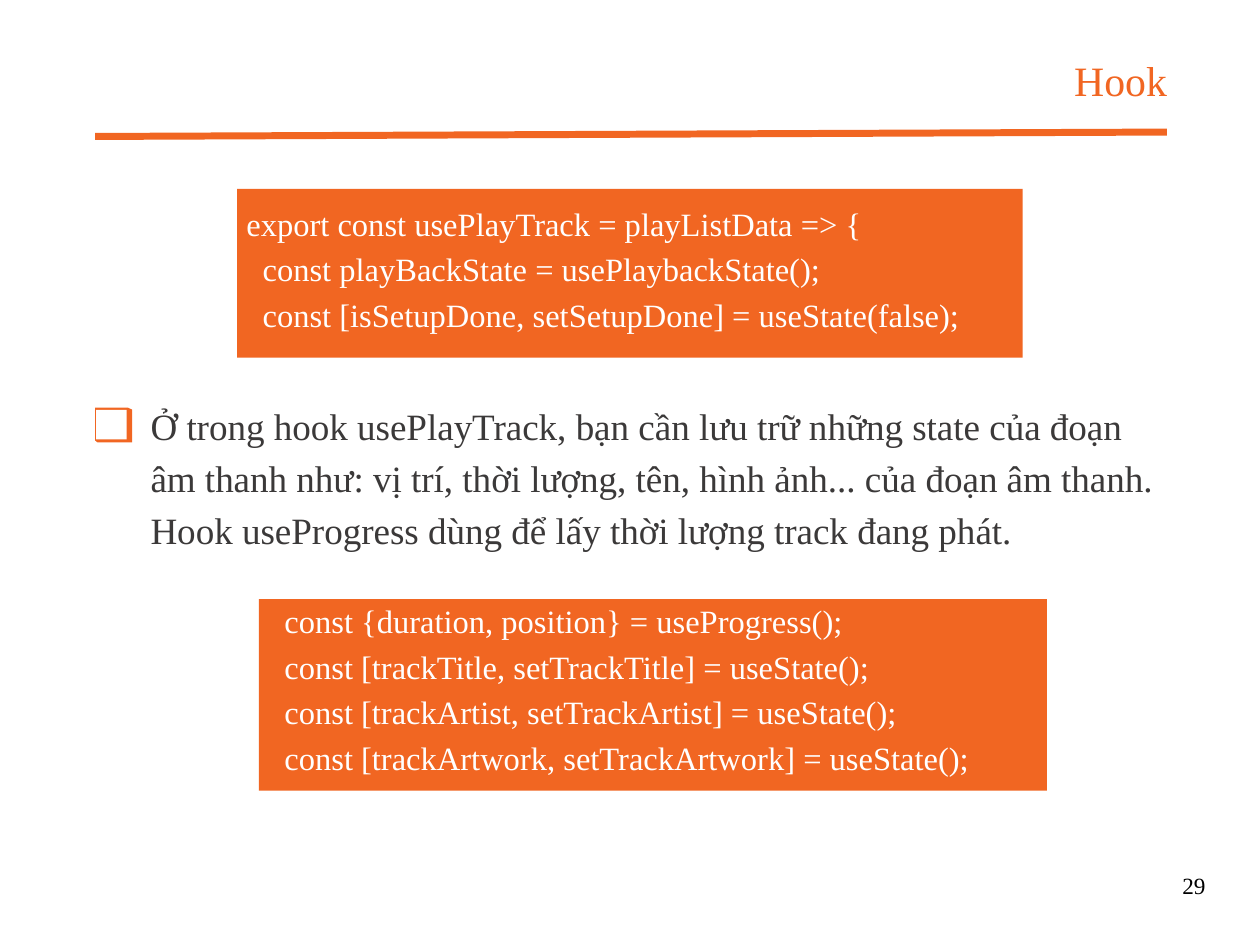
from pptx import Presentation
from pptx.dml.color import RGBColor
from pptx.enum.shapes import MSO_CONNECTOR, MSO_SHAPE
from pptx.enum.text import MSO_ANCHOR, PP_ALIGN
from pptx.oxml.ns import qn
from pptx.util import Pt
from lxml.etree import SubElement

COLORS = {"accent": "F16622", "body": "3B3939", "light": "FFFFFF", "page": "000000"}
FONT = "Times New Roman"

prs = Presentation()
prs.slide_width, prs.slide_height = Pt(543), Pt(408)
slide = prs.slides.add_slide(prs.slide_layouts[6])
shapes = slide.shapes


def paint(shape, color):
    """Give a shape a flat fill with no outline or shadow."""
    shape.shadow.inherit = False
    shape.fill.solid()
    shape.fill.fore_color.rgb = RGBColor.from_string(COLORS[color])
    shape.line.fill.background()


def add_text(box, lines, size, color, spacing, align=PP_ALIGN.LEFT,
             inset=0, anchor=MSO_ANCHOR.TOP):
    frame = shapes.add_textbox(*map(Pt, box)).text_frame
    frame_format = {"word_wrap": True, "vertical_anchor": anchor}
    for side in ("left", "top", "right", "bottom"):
        frame_format[f"margin_{side}"] = Pt(inset)
    for name, value in frame_format.items():
        setattr(frame, name, value)
    for index, line in enumerate(lines):
        paragraph = frame.add_paragraph() if index else frame.paragraphs[0]
        paragraph.alignment = align
        paragraph.line_spacing = Pt(spacing)
        run = paragraph.add_run()
        run.text = line
        for name, value in {"name": FONT, "size": Pt(size)}.items():
            setattr(run.font, name, value)
        run.font.color.rgb = RGBColor.from_string(COLORS[color])


# Heading and its rule
title_rule = shapes.add_connector(
    MSO_CONNECTOR.STRAIGHT, Pt(41), Pt(58.8), Pt(502.9), Pt(56.9))
title_rule.line.width = Pt(3)
title_rule.line.color.rgb = RGBColor.from_string(COLORS["accent"])
SubElement(title_rule._element.spPr, qn("a:effectLst"))
add_text((152, 19.9, 350.9, 27.4), ["Hook"], 18, "accent", 25.2, PP_ALIGN.RIGHT)

# Checkbox marker: raised edge with a white face
edge = [(41, 175.7), (55.2, 175.7), (56.9, 176.5), (56.9, 190.6), (42, 190.6), (41, 189.8)]
edge_points = [(Pt(x), Pt(y)) for x, y in edge]
builder = shapes.build_freeform(*edge_points[0], scale=1.0)
builder.add_line_segments(edge_points[1:], close=True)
paint(builder.convert_to_shape(), "accent")
paint(shapes.add_shape(MSO_SHAPE.RECTANGLE, Pt(41.4), Pt(176.6), Pt(13.2), Pt(12.7)), "light")

explanation = (
    "Ở trong hook usePlayTrack, bạn cần lưu trữ những state của đoạn âm thanh như: "
    "vị trí, thời lượng, tên, hình ảnh... của đoạn âm thanh. "
    "Hook useProgress dùng để lấy thời lượng track đang phát."
)
add_text((64.9, 170.6, 433.6, 87.8), [explanation], 16, "body", 22.4)

# Code panels: left, top, width, height, rise of the text above the panel, code
code_panels = [
    (102.2, 81.4, 338.6, 72.7, 6.5, [
        "export const usePlayTrack = playListData => {",
        "  const playBackState = usePlaybackState();",
        "  const [isSetupDone, setSetupDone] = useState(false);",
    ]),
    (111.6, 258.1, 339.6, 82.6, 7.8, [
        "  const {duration, position} = useProgress();",
        "  const [trackTitle, setTrackTitle] = useState();",
        "  const [trackArtist, setTrackArtist] = useState();",
        "  const [trackArtwork, setTrackArtwork] = useState();",
    ]),
]
for left, top, width, height, rise, code in code_panels:
    panel = shapes.add_shape(MSO_SHAPE.RECTANGLE, Pt(left), Pt(top), Pt(width), Pt(height))
    paint(panel, "accent")
    add_text((left, top - rise, width, height + rise), code, 14, "light", 19.6,
             inset=4, anchor=MSO_ANCHOR.MIDDLE)

add_text((502.9, 373.6, 16.6, 14.4), ["29"], 10, "page", 14, PP_ALIGN.RIGHT)

prs.save("out.pptx")
